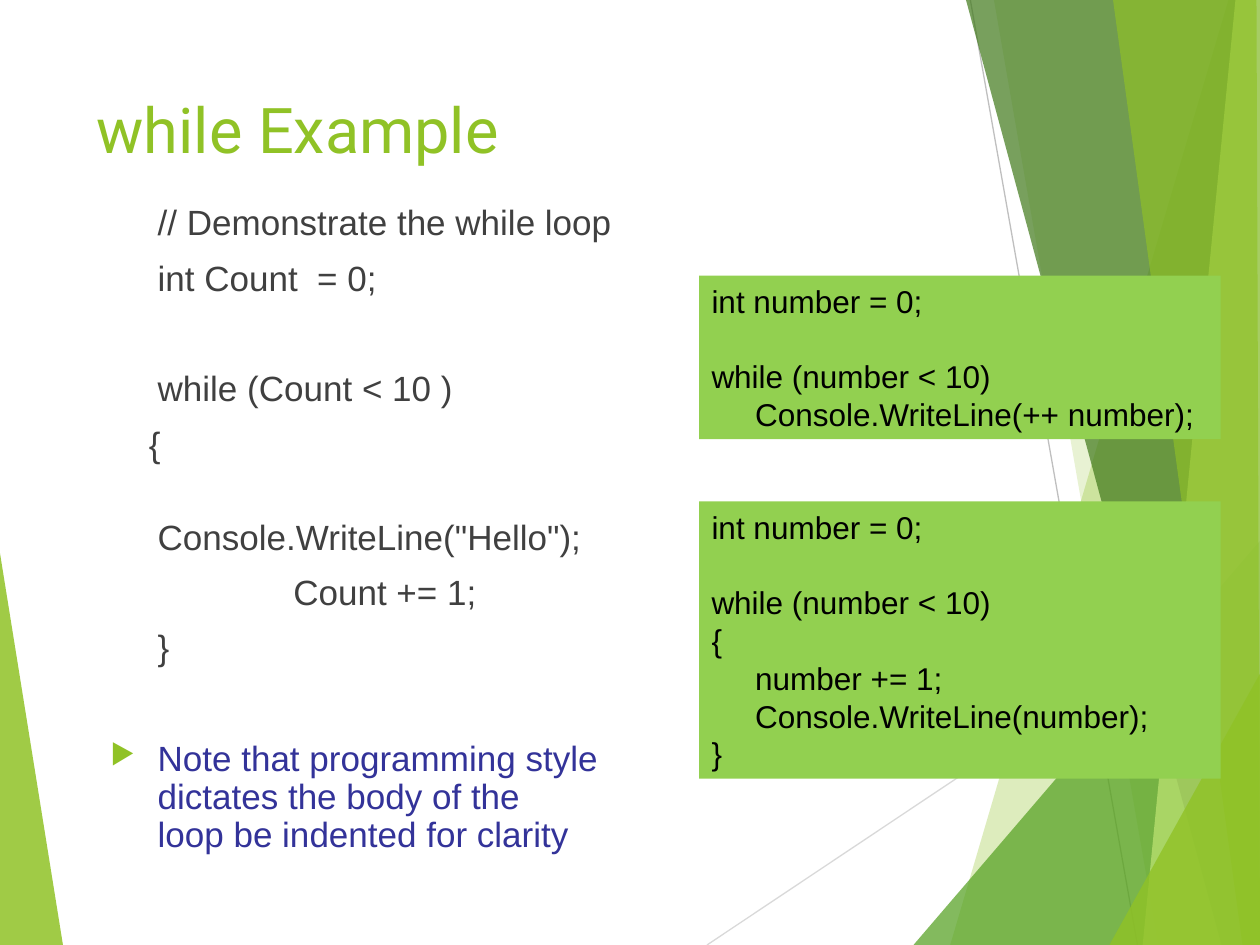
"""Build the slide about the while loop, with its code samples and faceted backdrop."""
from lxml import etree
from pptx import Presentation
from pptx import util as u
from pptx.dml.color import RGBColor
from pptx.enum import shapes, text
from pptx.oxml.ns import qn

COLORS = {
    "leaf": "90C226", "lime": "C0E474", "grass": "54A021", "forest": "3F7819",
    "panel": "92D050", "body": "404040", "note": "333399", "code": "000000",
    "pale": "D9D9D9", "silver": "BFBFBF",
}
WIDTH, HEIGHT = 720, 540

LEFT_FACET = ([(0, 316), (35.5, HEIGHT), (0, HEIGHT)], "leaf", 85)
RAYS = [((404, HEIGHT), (WIDTH, 329), "pale"), ((554.5, 0), (650, HEIGHT), "silver")]
RIGHT_FACETS = [
    ([(702, 0), (543, HEIGHT), (WIDTH, HEIGHT), (WIDTH, 0)], "leaf", 30),
    ([(567.5, 0), (662.5, HEIGHT), (WIDTH, HEIGHT), (WIDTH, 0)], "leaf", 20),
    ([(522.5, HEIGHT), (WIDTH, 309), (WIDTH, HEIGHT)], "grass", 72),
    ([(552, 0), (698.5, HEIGHT), (WIDTH, HEIGHT), (WIDTH, 0)], "forest", 70),
    ([(706.5, 0), (653, HEIGHT), (WIDTH, HEIGHT), (WIDTH, 0)], "lime", 70),
    ([(636, 0), (710, HEIGHT), (WIDTH, HEIGHT), (718.5, 0)], "leaf", 65),
    ([(634.5, HEIGHT), (WIDTH, 385), (WIDTH, HEIGHT)], "leaf", 80),
]

INDENT, GAP, BODY_LINE, CODE_LINE = 27, 10, 21.6, 21.6
BLANK_GAP = GAP + BODY_LINE + GAP
LOOP_LINES = [
    ("// Demonstrate the while loop", INDENT, 0),
    ("int Count  = 0;", INDENT, GAP),
    ("while (Count < 10 )", INDENT, BLANK_GAP),
    ("{", 22, GAP),
    ('Console.WriteLine("Hello");', INDENT, GAP + BODY_LINE),
    ("Count += 1;", 104.5, GAP),
    ("}", INDENT, GAP),
]
STYLE_NOTE = "Note that programming style dictates the body of the\nloop be indented for clarity"
SHARED_START = [("int number = 0;", 0), ("while (number < 10)", CODE_LINE)]
SHORT_LOOP = SHARED_START + [("     Console.WriteLine(++ number);", 0)]
BLOCK_LOOP = SHARED_START + [
    ("{", 0),
    ("     number += 1;", 0),
    ("     Console.WriteLine(number);", 0),
    ("}", 0),
]


def rgb(color):
    return RGBColor.from_string(COLORS[color])


def write(paragraph, words, size=20, color="body", font="Arial", before=0,
          spacing=None, left=0, bullet=None):
    props = paragraph._p.get_or_add_pPr()
    props.set("marL", str(u.Pt(left)))
    props.set("indent", str(-u.Pt(left) if bullet else 0))
    paragraph.alignment = text.PP_ALIGN.LEFT
    paragraph.space_before = u.Pt(before)
    if spacing:
        paragraph.line_spacing = spacing
    if bullet:
        tint = etree.SubElement(props, qn("a:buClr"))
        etree.SubElement(tint, qn("a:srgbClr"), val=COLORS["leaf"])
        etree.SubElement(props, qn("a:buSzPct"), val="80000")
        etree.SubElement(props, qn("a:buChar"), char=bullet)
    paragraph.text = words
    for run in paragraph.runs:
        run.font.size = u.Pt(size)
        run.font.name = font
        run.font.color.rgb = rgb(color)


def next_paragraph(frame, index):
    return frame.add_paragraph() if index else frame.paragraphs[0]


class Deck:
    def __init__(self):
        self.show = Presentation()
        self.show.slide_width, self.show.slide_height = u.Pt(WIDTH), u.Pt(HEIGHT)
        self.slide = self.show.slides.add_slide(self.show.slide_layouts[5])

    def facet(self, points, color, opacity):
        outline = self.slide.shapes.build_freeform(*points[0], scale=u.Pt(1))
        outline.add_line_segments(points[1:])
        pane = outline.convert_to_shape()
        pane.shadow.inherit = False
        pane.line.fill.background()
        pane.fill.solid()
        pane.fill.fore_color.rgb = rgb(color)
        tint = pane.fill._xPr.find(qn("a:solidFill"))[0]
        etree.SubElement(tint, qn("a:alpha"), val=str(opacity * 1000))

    def ray(self, start, end, color):
        ends = [u.Pt(length) for length in start + end]
        ray = self.slide.shapes.add_connector(shapes.MSO_CONNECTOR.STRAIGHT, *ends)
        ray.line.color.rgb = rgb(color)
        ray.line.width = u.Pt(0.75)
        etree.SubElement(ray._element.spPr, qn("a:effectLst"))

    def title(self, words, left, top, width, height):
        heading = self.slide.shapes.title
        heading.left, heading.top = u.Pt(left), u.Pt(top)
        heading.width, heading.height = u.Pt(width), u.Pt(height)
        frame = heading.text_frame
        frame.vertical_anchor = text.MSO_ANCHOR.TOP
        write(frame.paragraphs[0], words, size=36, color="leaf", font="Roboto")

    def body(self, lines, note, left, top, width, height):
        box = self.slide.shapes.add_textbox(*map(u.Pt, (left, top, width, height)))
        frame = box.text_frame
        frame.word_wrap = True
        for index, (words, indent, before) in enumerate(lines):
            write(next_paragraph(frame, index), words, left=indent,
                  before=before, spacing=0.9)
        write(frame.add_paragraph(), note, color="note", left=INDENT,
              before=BLANK_GAP, spacing=0.9, bullet="▶")

    def code_panel(self, lines, left, top, width, height):
        panel = self.slide.shapes.add_shape(
            shapes.MSO_SHAPE.RECTANGLE, *map(u.Pt, (left, top, width, height)))
        panel.shadow.inherit = False
        panel.line.fill.background()
        panel.fill.solid()
        panel.fill.fore_color.rgb = rgb("panel")
        frame = panel.text_frame
        frame.word_wrap = True
        frame.vertical_anchor = text.MSO_ANCHOR.TOP
        for index, (words, before) in enumerate(lines):
            write(next_paragraph(frame, index), words, size=18, color="code", before=before)


def main():
    deck = Deck()
    deck.facet(*LEFT_FACET)
    for ray in RAYS:
        deck.ray(*ray)
    for facet in RIGHT_FACETS:
        deck.facet(*facet)
    deck.title("while Example", 48, 48, 500, 104)
    deck.body(LOOP_LINES, STYLE_NOTE, 56, 114, 360, 360)
    deck.code_panel(SHORT_LOOP, 399.5, 157.5, 298, 93.5)
    deck.code_panel(BLOCK_LOOP, 399.5, 286.5, 298, 158.5)
    deck.show.save("out.pptx")


if __name__ == "__main__":
    main()
